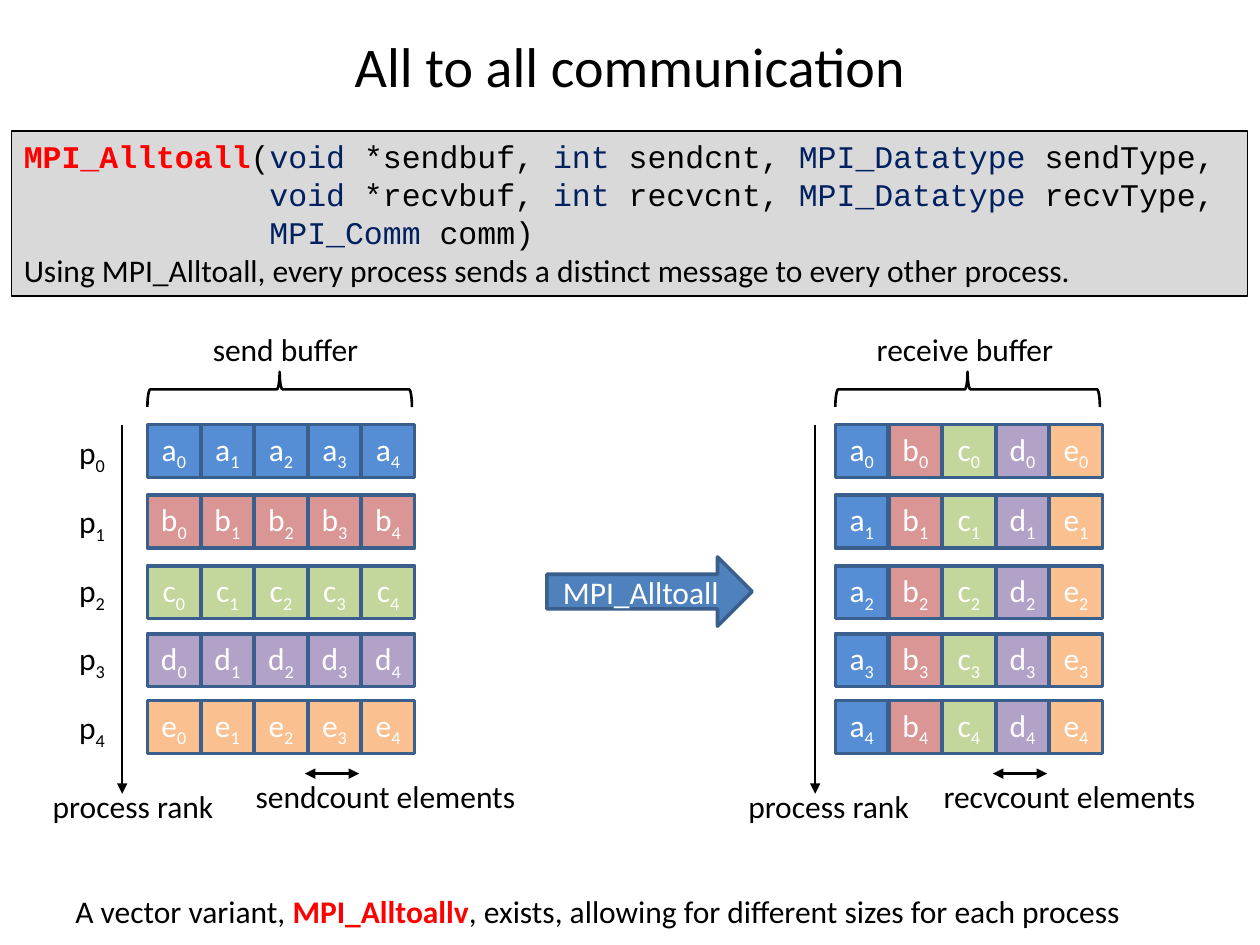
from lxml.etree import SubElement
from pptx import Presentation
from pptx.dml.color import RGBColor
from pptx.enum.shapes import MSO_CONNECTOR, MSO_SHAPE
from pptx.enum.text import MSO_ANCHOR, MSO_AUTO_SIZE, PP_ALIGN
from pptx.oxml.ns import qn
from pptx.util import Inches, Pt

BLACK, WHITE, RED, NAVY = "000000", "FFFFFF", "FF0000", "002060"
EDGE = "3A5F8C"
LETTER_FILLS = {"a": "558ED5", "b": "D99694", "c": "C3D69B", "d": "B3A2C7", "e": "FAC090"}
LETTERS = list(LETTER_FILLS)
ROW_TOPS = [3.37, 3.93, 4.49, 5.03, 5.56]
CELL, CELL_PITCH = 0.42, 0.425


def rgb(value):
    return RGBColor.from_string(value)


class SlideBuilder:
    font_name = "Calibri"
    code_font = "Courier New"
    font_size = 18

    def __init__(self, slide):
        self.slide = slide

    def set_text(self, paragraph, pieces, color=BLACK, align=PP_ALIGN.LEFT, font=None, size=None):
        paragraph.alignment = align
        paragraph.font.name = font or self.font_name
        paragraph.font.size = Pt(size or self.font_size)
        paragraph.font.color.rgb = rgb(color)
        for text, accent in pieces:
            run = paragraph.add_run()
            run.text = text
            if accent == "sub":
                run._r.get_or_add_rPr().set("baseline", "-25000")
            elif accent:
                run.font.color.rgb = rgb(accent)
                run.font.bold = accent == RED

    def label(self, left, top, width, pieces):
        box = self.slide.shapes.add_textbox(Inches(left), Inches(top), Inches(width), Inches(0.4))
        box.text_frame.word_wrap = False
        box.text_frame.auto_size = MSO_AUTO_SIZE.SHAPE_TO_FIT_TEXT
        self.set_text(box.text_frame.paragraphs[0], pieces)

    def title(self, text):
        box = self.slide.shapes.add_textbox(Inches(0.5), Inches(0.17), Inches(9), Inches(0.7))
        box.text_frame.word_wrap = True
        box.text_frame.vertical_anchor = MSO_ANCHOR.MIDDLE
        self.set_text(box.text_frame.paragraphs[0], [(text, None)], align=PP_ALIGN.CENTER, size=32)

    def shape(self, kind, left, top, width, height, fill=None, line=EDGE, weight=2):
        shape = self.slide.shapes.add_shape(
            kind, Inches(left), Inches(top), Inches(width), Inches(height))
        shape.shadow.inherit = False
        if fill:
            shape.fill.solid()
            shape.fill.fore_color.rgb = rgb(fill)
        else:
            shape.fill.background()
        shape.line.color.rgb = rgb(line)
        shape.line.width = Pt(weight)
        return shape

    def cell(self, left, top, letter, index):
        frame = self.shape(MSO_SHAPE.RECTANGLE, left, top, CELL, CELL,
                           LETTER_FILLS[letter]).text_frame
        frame.margin_left = frame.margin_right = 0
        frame.vertical_anchor = MSO_ANCHOR.MIDDLE
        self.set_text(frame.paragraphs[0], [(letter, None), (str(index), "sub")],
                      WHITE, PP_ALIGN.CENTER)

    def operation_arrow(self, text):
        frame = self.shape(MSO_SHAPE.RIGHT_ARROW, 4.34, 4.42, 1.63, 0.55, "4F81BD").text_frame
        frame.vertical_anchor = MSO_ANCHOR.MIDDLE
        self.set_text(frame.paragraphs[0], [(text, None)], WHITE, PP_ALIGN.CENTER)

    def signature(self, code_lines, explanation):
        panel = self.shape(MSO_SHAPE.RECTANGLE, 0.09, 1.04, 9.81, 1.31, "D9D9D9", BLACK, 0.75)
        frame = panel.text_frame
        frame.vertical_anchor = MSO_ANCHOR.TOP
        for number, pieces in enumerate(code_lines):
            paragraph = frame.add_paragraph() if number else frame.paragraphs[0]
            self.set_text(paragraph, pieces, font=self.code_font)
            if number:
                paragraph._p.get_or_add_pPr().set("marL", str(Inches(1.95)))
        self.set_text(frame.add_paragraph(), [(explanation, None)])

    def arrow(self, x1, y1, x2, y2, ends):
        connector = self.slide.shapes.add_connector(
            MSO_CONNECTOR.STRAIGHT, Inches(x1), Inches(y1), Inches(x2), Inches(y2))
        connector.line.color.rgb = rgb(BLACK)
        connector.line.width = Pt(1.5)
        properties = connector._element.spPr
        for end in ends:
            SubElement(properties.get_or_add_ln(), qn(f"a:{end}"), type="triangle")
        SubElement(properties, qn("a:effectLst"))

    def brace(self, left):
        brace = self.shape(MSO_SHAPE.RIGHT_BRACE, left + 0.91, 2.04, 0.28, 2.1,
                           line=BLACK, weight=1.5)
        brace.rotation = 270

    def buffer(self, left, name, name_at, count, count_at, rank_x, rank_at, received):
        self.label(*name_at, [(name, None)])
        self.brace(left)
        self.arrow(rank_x, 3.37, rank_x, 6.3, ["tailEnd"])
        self.label(*rank_at, [("process rank", None)])
        self.arrow(left + 1.25, 6.14, left + 1.68, 6.14, ["headEnd", "tailEnd"])
        self.label(*count_at, [(count, None)])
        for row, top in enumerate(ROW_TOPS):
            for column in range(len(LETTERS)):
                source, index = (column, row) if received else (row, column)
                self.cell(left + column * CELL_PITCH, top, LETTERS[source], index)


def main():
    presentation = Presentation()
    presentation.slide_width, presentation.slide_height = Inches(10), Inches(7.5)
    builder = SlideBuilder(presentation.slides.add_slide(presentation.slide_layouts[6]))

    builder.title("All to all communication")
    send_arguments, receive_arguments = (
        [("void", NAVY), (f" *{prefix}buf, ", None), ("int ", NAVY), (f"{prefix}cnt, ", None),
         ("MPI_Datatype ", NAVY), (f"{prefix}Type,", None)]
        for prefix in ("send", "recv"))
    builder.signature(
        [[("MPI_Alltoall", RED), ("(", None)] + send_arguments,
         receive_arguments,
         [("MPI_Comm", NAVY), (" comm)", None)]],
        "Using MPI_Alltoall, every process sends a distinct message to every other process.")

    builder.buffer(1.17, "send buffer", (1.59, 2.57, 1.38), "sendcount elements",
                   (1.93, 6.12, 2.29), 0.97, (0.32, 6.2, 1.49), received=False)
    for rank in range(len(ROW_TOPS)):
        builder.label(0.53, 3.39 + rank * 0.545, 0.42, [("p", None), (str(rank), "sub")])
    builder.operation_arrow("MPI_Alltoall")
    builder.buffer(6.63, "receive buffer", (6.86, 2.57, 1.62), "recvcount elements",
                   (7.39, 6.12, 2.23), 6.47, (5.84, 6.2, 1.49), received=True)
    builder.label(0.5, 7.03, 8.52, [
        ("A vector variant, ", None), ("MPI_Alltoallv", RED),
        (", exists, allowing for different sizes for each process", None)])

    presentation.save("out.pptx")


if __name__ == "__main__":
    main()
